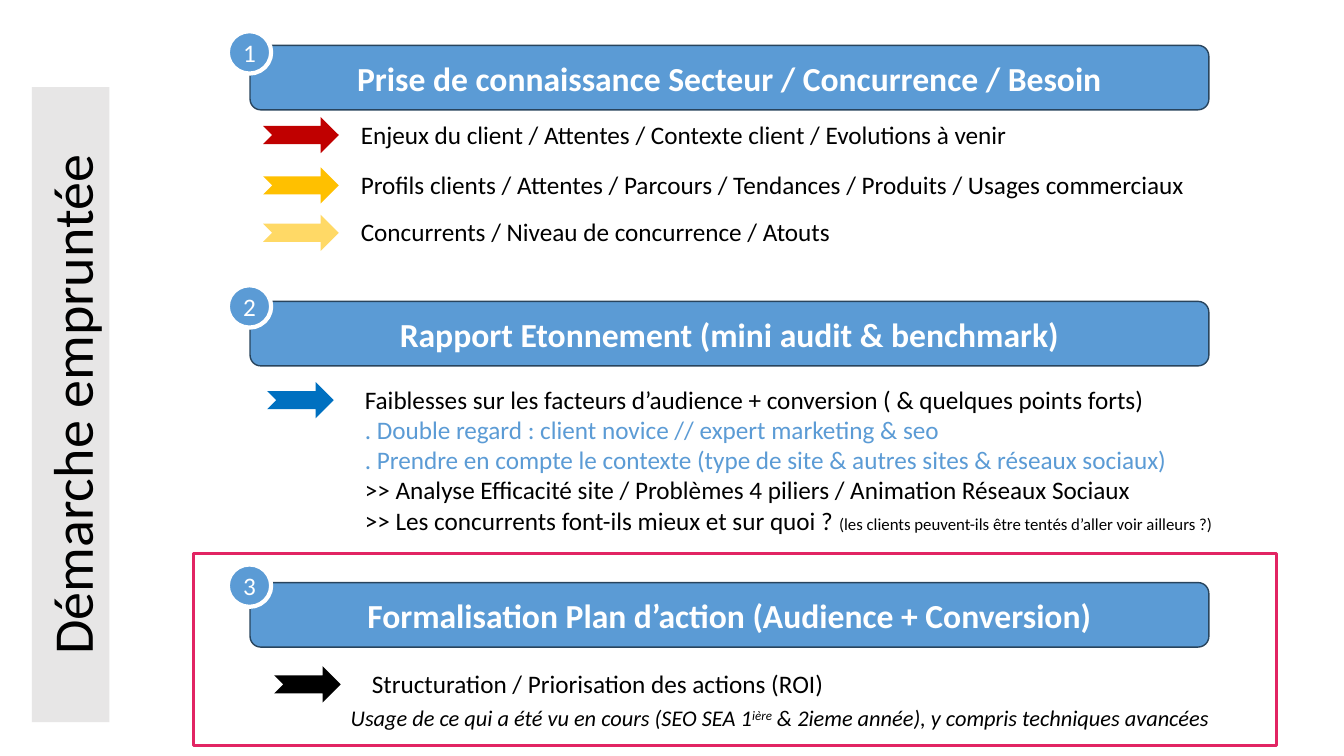
from pptx import Presentation
from pptx.dml.color import RGBColor
from pptx.enum.shapes import MSO_SHAPE
from pptx.enum.text import MSO_ANCHOR, MSO_AUTO_SIZE, PP_ALIGN
from pptx.util import Inches, Pt

FONT = "Calibri"
BLACK = RGBColor(0x00, 0x00, 0x00)
WHITE = RGBColor(0xFF, 0xFF, 0xFF)
BLUE = RGBColor(0x5B, 0x9B, 0xD5)
NAVY = RGBColor(0x28, 0x44, 0x5D)
GREY = RGBColor(0xE7, 0xE6, 0xE6)
PINK = RGBColor(0xE2, 0x24, 0x63)
RED = RGBColor(0xC0, 0x00, 0x00)
AMBER = RGBColor(0xFF, 0xC0, 0x00)
PALE_AMBER = RGBColor(0xFF, 0xD9, 0x66)
DEEP_BLUE = RGBColor(0x00, 0x70, 0xC0)

# Number, heading, top of the banner, top of the badge
STEPS = [
    ("1", "Prise de connaissance Secteur / Concurrence / Besoin", 0.45, 0.31),
    ("2", "Rapport Etonnement (mini audit & benchmark)", 2.99, 2.83),
    ("3", "Formalisation Plan d’action (Audience + Conversion)", 5.78, 5.6),
]

# Arrow left, top, width and colour, then the lines beside the arrow
POINTS = [
    (2.61, 1.16, 0.75, RED,
     [("Enjeux du client / Attentes / Contexte client / Evolutions à venir", BLACK)]),
    (2.61, 1.66, 0.75, AMBER,
     [("Profils clients / Attentes / Parcours / Tendances / Produits / Usages commerciaux", BLACK)]),
    (2.61, 2.13, 0.75, PALE_AMBER,
     [("Concurrents / Niveau de concurrence / Atouts", BLACK)]),
    (2.65, 3.79, 0.66, DEEP_BLUE,
     [("Faiblesses sur les facteurs d’audience + conversion ( & quelques points forts)", BLACK),
      (". Double regard : client novice // expert marketing & seo", BLUE),
      (". Prendre en compte le contexte (type de site & autres sites & réseaux sociaux)", BLUE),
      (">> Analyse Efficacité site / Problèmes 4 piliers / Animation Réseaux Sociaux", BLACK),
      (">> Les concurrents font-ils mieux et sur quoi ? ", BLACK)]),
    (2.72, 6.61, 0.66, BLACK,
     [("Structuration / Priorisation des actions (ROI)", BLACK)]),
]
COMPETITOR_ASIDE = "(les clients peuvent-ils être tentés d’aller voir ailleurs ?)"


def add_run(paragraph, text, size=18, color=BLACK, bold=False, italic=False, baseline=0):
    run = paragraph.add_run()
    run.text = text
    font = run.font
    font.name, font.size = FONT, Pt(size)
    font.bold, font.italic = bold, italic
    font.color.rgb = color
    if baseline:
        run._r.get_or_add_rPr().set("baseline", str(baseline * 1000))


def add_shape(slide, kind, left, top, width, height, fill=None, line=None, line_width=1):
    shape = slide.shapes.add_shape(
        kind, Inches(left), Inches(top), Inches(width), Inches(height))
    shape.shadow.inherit = False
    if fill is None:
        shape.fill.background()
    else:
        shape.fill.solid()
        shape.fill.fore_color.rgb = fill
    if line is None:
        shape.line.fill.background()
    else:
        shape.line.color.rgb = line
        shape.line.width = Pt(line_width)
    return shape


def write_centered(shape, text, **text_format):
    frame = shape.text_frame
    frame.vertical_anchor = MSO_ANCHOR.MIDDLE
    paragraph = frame.paragraphs[0]
    paragraph.alignment = PP_ALIGN.CENTER
    add_run(paragraph, text, **text_format)


def add_text_box(slide, left, top, width, height):
    box = slide.shapes.add_textbox(Inches(left), Inches(top), Inches(width), Inches(height))
    box.text_frame.word_wrap = True
    return box.text_frame


def add_side_title(slide, text):
    title = slide.shapes.title
    title.left, title.top = Inches(-2.45), Inches(3.63)
    title.width, title.height = Inches(6.3), Inches(0.77)
    title.rotation = 270
    title.fill.solid()
    title.fill.fore_color.rgb = GREY
    title.text_frame.auto_size = MSO_AUTO_SIZE.NONE
    write_centered(title, text, size=40)


def add_step(slide, number, heading, banner_top, badge_top):
    banner = add_shape(slide, MSO_SHAPE.ROUNDED_RECTANGLE, 2.48, banner_top, 9.51, 0.64,
                       fill=BLUE, line=NAVY)
    write_centered(banner, heading, size=24, color=WHITE, bold=True)
    badge = add_shape(slide, MSO_SHAPE.FLOWCHART_CONNECTOR, 2.26, badge_top, 0.43, 0.42,
                      fill=BLUE, line=WHITE, line_width=3)
    badge.text_frame.word_wrap = False
    write_centered(badge, number, color=WHITE)


def add_point(slide, left, top, width, color, lines):
    """Add an arrow with its lines of text and return their text frame."""
    add_shape(slide, MSO_SHAPE.NOTCHED_RIGHT_ARROW, left, top, width, 0.36, fill=color)
    frame = add_text_box(slide, left + 0.87, top - 0.03, 8.87, 0.1 + 0.3 * len(lines))
    for index, (text, text_color) in enumerate(lines):
        paragraph = frame.add_paragraph() if index else frame.paragraphs[0]
        add_run(paragraph, text, color=text_color)
    return frame


def add_course_note(slide):
    paragraph = add_text_box(slide, 3.38, 6.94, 9.42, 0.37).paragraphs[0]
    add_run(paragraph, "Usage de ce qui a été vu en cours (SEO SEA 1", size=16, italic=True)
    add_run(paragraph, "ière", size=16, italic=True, baseline=30)
    add_run(paragraph, " & 2ieme année), y compris techniques avancées", size=16, italic=True)


def main():
    presentation = Presentation()
    presentation.slide_width, presentation.slide_height = Inches(13.33), Inches(7.5)
    slide = presentation.slides.add_slide(presentation.slide_layouts.get_by_name("Title Only"))

    add_side_title(slide, "Démarche empruntée")
    for step in STEPS:
        add_step(slide, *step)
    for point in POINTS:
        frame = add_point(slide, *point)
        if len(frame.paragraphs) > 1:
            add_run(frame.paragraphs[-1], COMPETITOR_ASIDE, size=12)
    add_course_note(slide)
    add_shape(slide, MSO_SHAPE.RECTANGLE, 1.92, 5.49, 10.74, 1.91, line=PINK, line_width=2.25)

    presentation.save("out.pptx")


if __name__ == "__main__":
    main()
